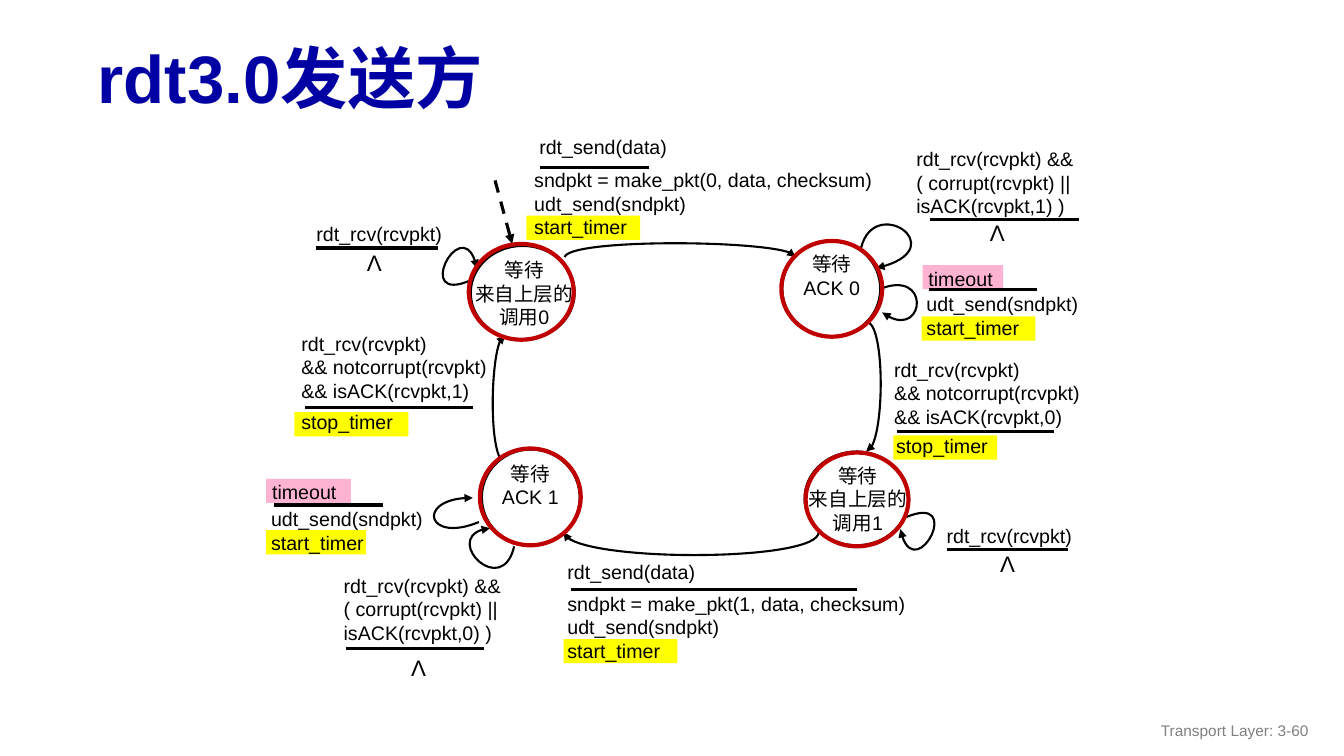
import pptx
import pptx.dml.color
import pptx.enum.dml
import pptx.enum.shapes
import pptx.enum.text
import pptx.oxml
import pptx.oxml.ns
import pptx.util

Inches = pptx.util.Inches
Pt = pptx.util.Pt
ALIGN = pptx.enum.text.PP_ALIGN
ANCHOR = pptx.enum.text.MSO_ANCHOR
SHAPE = pptx.enum.shapes.MSO_SHAPE

COLORS = {"title": "0000A3", "ink": "000000", "paper": "FFFFFF", "ring": "C00000",
          "timer": "FFFF00", "timeout": "FFB3D3", "footer": "808080"}


class StateDiagram:
    font = "Arial"
    size = 14
    line_pitch = 16.8

    def __init__(self, slide):
        self.slide = slide
        self.shapes = slide.shapes

    def rgb(self, name):
        return pptx.dml.color.RGBColor.from_string(COLORS[name])

    def add_run(self, paragraph, text, size, color, bold=False):
        run = paragraph.add_run()
        run.text = text
        run.font.name = self.font
        run.font.size = Pt(size)
        run.font.bold = bold
        run.font.color.rgb = self.rgb(color)

    def title(self, text, left, top, width, height):
        title = self.shapes.title
        title.left, title.top = Inches(left), Inches(top)
        title.width, title.height = Inches(width), Inches(height)
        title.text_frame.vertical_anchor = ANCHOR.MIDDLE
        heading = title.text_frame.paragraphs[0]
        heading.alignment = ALIGN.LEFT
        heading.line_spacing = 0.9
        self.add_run(heading, text, 48, "title", bold=True)

    def text(self, lines, left, top, width, height, align=ALIGN.LEFT, size=None,
             color="ink", anchor=ANCHOR.TOP, wrap=True):
        box = self.shapes.add_textbox(Inches(left), Inches(top), Inches(width), Inches(height))
        frame = box.text_frame
        frame.word_wrap = wrap
        frame.vertical_anchor = anchor
        for index, line in enumerate(lines):
            paragraph = frame.add_paragraph() if index else frame.paragraphs[0]
            paragraph.alignment = align
            if size is None:
                paragraph.line_spacing = Pt(self.line_pitch)
            self.add_run(paragraph, line, size or self.size, color)

    def no_action(self, left, top):
        self.text(["Λ"], left, top, 0.36, 0.37, size=16, wrap=False)

    def highlight(self, color, left, top, width):
        band = self.shapes.add_shape(SHAPE.RECTANGLE, Inches(left), Inches(top),
                                     Inches(width), Inches(0.24))
        band.shadow.inherit = False
        band.fill.solid()
        band.fill.fore_color.rgb = self.rgb(color)
        band.line.fill.background()

    def circle(self, left, top, width, height, line, weight, fill=None):
        circle = self.shapes.add_shape(SHAPE.OVAL, Inches(left), Inches(top),
                                       Inches(width), Inches(height))
        circle.shadow.inherit = False
        if fill:
            circle.fill.solid()
            circle.fill.fore_color.rgb = self.rgb(fill)
        else:
            circle.fill.background()
        circle.line.color.rgb = self.rgb(line)
        circle.line.width = Pt(weight)

    def state(self, disc, lines, label):
        self.circle(*disc, "ink", 1.5, fill="paper")
        self.text(lines, *label, align=ALIGN.CENTER)

    def add_arrowhead(self, shape):
        outline = shape._element.spPr.find(pptx.oxml.ns.qn("a:ln"))
        outline.append(pptx.oxml.parse_xml(
            f'<a:tailEnd {pptx.oxml.ns.nsdecls("a")} type="triangle"/>'))

    def line(self, start, end, dashed_arrow=False):
        rule = self.shapes.add_connector(pptx.enum.shapes.MSO_CONNECTOR.STRAIGHT,
                                         *(Inches(v) for v in (*start, *end)))
        rule.line.color.rgb = self.rgb("ink")
        rule.line.width = Pt(2.25)
        if dashed_arrow:
            rule.line.dash_style = pptx.enum.dml.MSO_LINE.DASH
            self.add_arrowhead(rule)
        rule._element.spPr.append(pptx.oxml.parse_xml(
            f'<a:effectLst {pptx.oxml.ns.nsdecls("a")}/>'))

    def underline(self, left, right, y):
        self.line((left, y), (right, y))

    def transition(self, *points):
        """Draw a cubic curve through start, two control points and end, with an arrowhead."""
        start, *others = [(Inches(x), Inches(y)) for x, y in points]
        builder = self.shapes.build_freeform(*start)
        builder.add_line_segments(others, close=False)
        curve = builder.convert_to_shape()
        segments = curve._element.findall(".//" + pptx.oxml.ns.qn("a:lnTo"))
        bezier = pptx.oxml.parse_xml(f'<a:cubicBezTo {pptx.oxml.ns.nsdecls("a")}/>')
        segments[0].addprevious(bezier)
        for segment in segments:
            bezier.append(segment[0])
            segment.getparent().remove(segment)
        curve.shadow.inherit = False
        curve.fill.background()
        curve.line.color.rgb = self.rgb("ink")
        curve.line.width = Pt(1.5)
        self.add_arrowhead(curve)


def send_actions(sequence):
    return [f"sndpkt = make_pkt({sequence}, data, checksum)", "udt_send(sndpkt)", "start_timer"]


def good_ack(sequence):
    return ["rdt_rcv(rcvpkt)", "&& notcorrupt(rcvpkt)", f"&& isACK(rcvpkt,{sequence})"]


def bad_ack(sequence):
    return ["rdt_rcv(rcvpkt) &&", "( corrupt(rcvpkt) ||", f"isACK(rcvpkt,{sequence}) )"]


def main():
    deck = pptx.Presentation()
    deck.slide_width, deck.slide_height = Inches(13.33), Inches(7.5)
    fsm = StateDiagram(deck.slides.add_slide(deck.slide_layouts[5]))
    fsm.title("rdt3.0发送方", 0.87, 0.32, 12.14, 0.98)

    for band in [("timer", 2.92, 4.09, 1.13), ("timer", 5.59, 6.34, 1.13),
                 ("timer", 8.86, 4.32, 1.03), ("timer", 5.22, 2.14, 1.13),
                 ("timeout", 9.15, 2.63, 0.8), ("timer", 9.14, 3.14, 1.13),
                 ("timeout", 2.64, 4.75, 0.84), ("timer", 2.64, 5.26, 0.99)]:
        fsm.highlight(*band)
    fsm.line((4.91, 1.79), (5.08, 2.42), dashed_arrow=True)

    # States on the right, then the four transitions between states
    fsm.state((7.76, 2.39, 0.97, 0.95), ["等待ACK 0"], (7.86, 2.45, 0.78, 0.49))
    fsm.state((7.98, 4.48, 1.03, 0.93), ["等待", "来自上层的调用1"], (7.86, 4.55, 1.3, 0.67))
    fsm.transition((5.6, 2.55), (5.65, 2.37), (7.89, 2.38), (7.89, 2.55))
    fsm.transition((8.59, 3.19), (8.77, 3.19), (8.78, 4.45), (8.59, 4.48))
    fsm.transition((8.12, 5.28), (8.12, 5.57), (5.64, 5.58), (5.59, 5.28))
    fsm.transition((5.01, 4.59), (4.85, 4.57), (4.86, 3.33), (5.01, 3.33))

    # States on the left, then the loops that stay in a state
    fsm.state((4.67, 2.44, 1.03, 0.93), ["等待", "来自上层的调用0"], (4.55, 2.51, 1.3, 0.67))
    fsm.state((4.78, 4.46, 0.97, 0.95), ["等待ACK 1"], (4.87, 4.53, 0.78, 0.49))
    fsm.transition((8.72, 2.87), (9.23, 2.66), (9.17, 3.41), (8.75, 3.1))
    fsm.transition((8.99, 5.13), (9.56, 4.89), (9.06, 5.86), (8.93, 5.25))
    fsm.transition((8.54, 2.46), (8.67, 1.93), (9.49, 2.48), (8.69, 2.66))
    fsm.transition((4.67, 2.78), (4.1, 3.03), (4.6, 2.05), (4.73, 2.66))
    fsm.transition((4.75, 5.18), (4.24, 5.39), (4.12, 4.93), (4.69, 4.94))
    fsm.transition((5.1, 5.42), (4.98, 5.94), (4.34, 5.3), (4.86, 5.24))

    # Each event stands above its rule, the actions below it
    resend = ["udt_send(sndpkt)", "start_timer"]
    for lines, *place in [
            (["rdt_send(data)"], 5.25, 1.29, 1.89, 0.31),
            (send_actions(0), 5.2, 1.62, 4.22, 0.61),
            (["rdt_send(data)"], 5.53, 5.51, 1.89, 0.31),
            (send_actions(1), 5.53, 5.82, 3.77, 0.6),
            (good_ack(0), 8.77, 3.5, 2.35, 0.62),
            (["stop_timer"], 8.79, 4.26, 1.66, 0.2),
            (good_ack(1), 2.89, 3.24, 2.09, 0.62),
            (["stop_timer"], 2.89, 4.02, 1.66, 0.44),
            (["timeout"], 9.11, 2.6, 1.22, 0.31),
            (resend, 9.09, 2.85, 2.31, 0.47),
            (["timeout"], 2.6, 4.71, 1.22, 0.31),
            (resend, 2.59, 4.98, 1.99, 0.47),
            (bad_ack(1), 8.99, 1.41, 1.86, 0.62),
            (bad_ack(0), 3.31, 5.64, 1.89, 0.62),
            (["rdt_rcv(rcvpkt)"], 9.29, 5.15, 1.56, 0.35),
            (["rdt_rcv(rcvpkt)"], 3.04, 2.15, 1.56, 0.62)]:
        fsm.text(lines, *place)
    for rule in [(5.36, 6.44, 1.66), (5.66, 8.5, 5.85), (8.9, 10.45, 4.28),
                 (3.03, 4.69, 4.04), (9.21, 10.29, 2.87), (2.72, 3.8, 5.01),
                 (9.22, 10.7, 2.18), (3.43, 4.8, 6.43), (9.39, 10.59, 5.45),
                 (3.13, 4.34, 2.46)]:
        fsm.underline(*rule)
    for left, top in [(9.82, 5.41), (9.72, 2.12), (3.54, 2.42), (3.98, 6.44)]:
        fsm.no_action(left, top)

    for ring in [(7.75, 2.39, 1, 0.95), (7.99, 4.49, 1.02, 0.93),
                 (4.76, 4.45, 1, 0.96), (4.65, 2.42, 1.04, 0.95)]:
        fsm.circle(*ring, "ring", 3)
    fsm.text(["Transport Layer: 3-60"], 10.08, 7.05, 3, 0.4, align=ALIGN.RIGHT,
             size=11, color="footer", anchor=ANCHOR.MIDDLE)
    deck.save("out.pptx")


if __name__ == "__main__":
    main()
